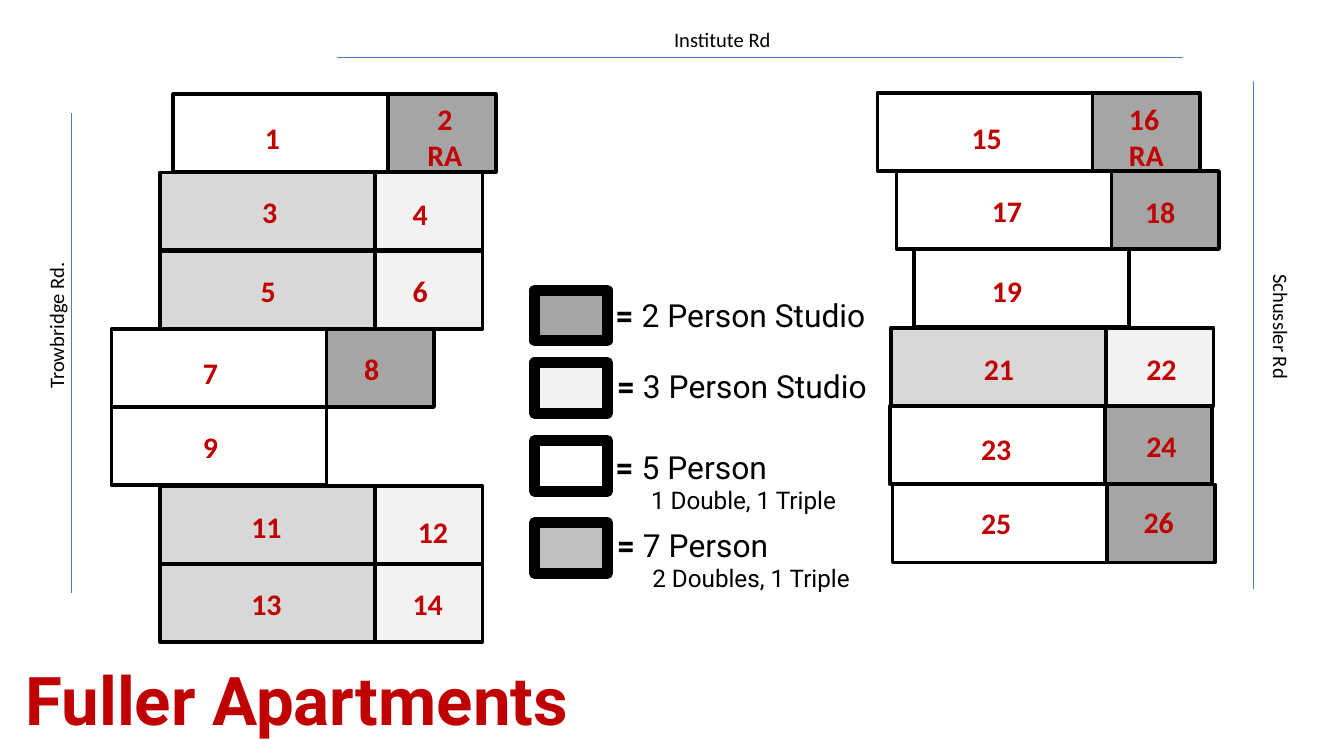
from dataclasses import dataclass
from typing import Optional

from lxml.etree import SubElement
from pptx import Presentation
from pptx.dml.color import RGBColor
from pptx.enum.shapes import MSO_CONNECTOR as Connector, MSO_SHAPE as Shape
from pptx.enum.text import MSO_ANCHOR as Anchor, MSO_AUTO_SIZE as AutoSize, PP_ALIGN as Align
from pptx.oxml.ns import qn
from pptx.util import Inches, Pt

COLORS = {
    "white": "FFFFFF",
    "black": "000000",
    "red": "C00000",
    "road": "4A7DBA",
    "two": "A5A5A5",
    "three": "F2F2F2",
    "five": "FFFFFF",
    "seven": "D8D8D8",
    "seven_key": "BFBFBF",
}

CELLS_PER_INCH = 10
SLIDE_COLUMNS = 100
SLIDE_ROWS = SLIDE_COLUMNS * 9 / 16
STOREY = 5.83
FLAT_WIDTH = 16
STUDIO_WIDTH = 8
UNIT_HEIGHT = 5.8


@dataclass(frozen=True)
class Unit:
    label: str
    kind: str
    label_column: float
    label_row: float
    label_width: float = 3
    align: Align = Align.LEFT


@dataclass(frozen=True)
class Floor:
    left: float
    flat: Unit
    studio: Optional[Unit] = None


@dataclass(frozen=True)
class Building:
    top: float
    floors: tuple[Floor, ...]


@dataclass(frozen=True)
class Road:
    name: str
    start: tuple[float, float]
    end: tuple[float, float]
    label_box: tuple[float, float, float, float]
    rotation: int = 0


@dataclass(frozen=True)
class LegendEntry:
    kind: str
    top: float
    text_left: float
    text_top: float
    name: str
    detail: str = ""


BUILDINGS = (
    Building(7, (
        Floor(12.9, Unit("1", "five", 6.5, 1.8, 1.8),
              Unit("2\nRA", "two", 2.5, 0.4, 3.4, Align.CENTER)),
        Floor(11.9, Unit("3", "seven", 7.3, 1.5, 1.8), Unit("4", "three", 2.5, 1.6, 1.8)),
        Floor(11.9, Unit("5", "seven", 7.2, 1.5, 1.8), Unit("6", "three", 2.5, 1.5, 1.8)),
        Floor(8.3, Unit("7", "five", 6.5, 1.8, 1.8), Unit("8", "two", 2.5, 1.5, 1.8)),
        Floor(8.3, Unit("9", "five", 6.5, 1.5, 1.8)),
        Floor(11.9, Unit("11", "seven", 6.5, 1.6), Unit("12", "three", 2.9, 2)),
        Floor(11.9, Unit("13", "seven", 6.5, 1.5), Unit("14", "three", 2.5, 1.5)),
    )),
    Building(6.9, (
        Floor(65.3, Unit("15", "five", 6.7, 1.9), Unit("16\nRA", "two", 2.4, 0.5, 4.2)),
        Floor(66.7, Unit("17", "five", 6.8, 1.5), Unit("18", "two", 2.2, 1.6)),
        Floor(68, Unit("19", "five", 5.5, 1.6)),
        Floor(66.3, Unit("21", "seven", 6.6, 1.6), Unit("22", "three", 2.7, 1.6)),
        Floor(66.2, Unit("23", "five", 6.5, 1.7), Unit("24", "two", 2.8, 1.5)),
        Floor(66.4, Unit("25", "five", 6.3, 1.4), Unit("26", "two", 2.4, 1.3)),
    )),
)

ROADS = (
    Road("Institute Rd", (25.1, 4.3), (88, 4.3), (43.3, 1.9, 20.9, 1.8)),
    Road("Schussler Rd", (93.25, 6), (93.25, 43.8), (86.4, 23.2, 17.7, 2.2), 90),
    Road("Trowbridge Rd.", (5.3, 44.1), (5.3, 8.4), (-4.6, 23.1, 17.7, 2.2), 270),
)

LEGEND = (
    LegendEntry("two", 21.6, 45.5, 21.9, "2 Person Studio"),
    LegendEntry("three", 27, 45.6, 27.2, "3 Person Studio"),
    LegendEntry("five", 32.8, 45.5, 33.2, "5 Person", "1 Double, 1 Triple"),
    LegendEntry("seven_key", 38.9, 45.6, 39, "7 Person", "2 Doubles, 1 Triple"),
)


def cells(count: float) -> int:
    return Inches(count / CELLS_PER_INCH)


def color(name: str) -> RGBColor:
    return RGBColor.from_string(COLORS[name])


def add_text(paragraph, text: str, *, size: float, font: str, fill: str = "black",
             bold: bool = False, align: Align = Align.LEFT) -> None:
    paragraph.alignment = align
    run = paragraph.add_run()
    run.text = text
    run.font.size = Pt(size)
    run.font.name = font
    run.font.bold = bold
    run.font.color.rgb = color(fill)


def prepare_frame(shape):
    frame = shape.text_frame
    frame.word_wrap = True
    frame.auto_size = AutoSize.NONE
    frame.vertical_anchor = Anchor.TOP
    frame.margin_left = frame.margin_right = Inches(0.03)
    frame.margin_top = frame.margin_bottom = Inches(0.01)
    return frame


def add_label(slide, box: tuple[float, ...], text: str, rotation: int = 0, **text_format) -> None:
    shape = slide.shapes.add_textbox(*map(cells, box))
    shape.rotation = rotation
    frame = prepare_frame(shape)
    for index, line in enumerate(text.split("\n")):
        paragraph = frame.add_paragraph() if index else frame.paragraphs[0]
        add_text(paragraph, line, **text_format)


def add_block(slide, box: tuple[float, ...], fill: str, line_width: float) -> None:
    shape = slide.shapes.add_shape(Shape.RECTANGLE, *map(cells, box))
    shape.shadow.inherit = False
    shape.fill.solid()
    shape.fill.fore_color.rgb = color(fill)
    shape.line.color.rgb = color("black")
    shape.line.width = Pt(line_width)


def add_unit(slide, unit: Unit, left: float, top: float, width: float) -> None:
    add_block(slide, (left, top, width, UNIT_HEIGHT), unit.kind, 2)
    height = 2.7 * len(unit.label.split("\n"))
    box = (left + unit.label_column, top + unit.label_row, unit.label_width, height)
    add_label(slide, box, unit.label, size=16, font="Calibri", fill="red", bold=True,
              align=unit.align)


def add_building(slide, building: Building) -> None:
    for index, floor in enumerate(building.floors):
        top = building.top + index * STOREY
        if floor.studio:
            add_unit(slide, floor.studio, floor.left + FLAT_WIDTH, top, STUDIO_WIDTH)
        add_unit(slide, floor.flat, floor.left, top, FLAT_WIDTH)


def add_road(slide, road: Road) -> None:
    line = slide.shapes.add_connector(Connector.STRAIGHT, *map(cells, road.start + road.end))
    line.line.color.rgb = color("road")
    line.line.width = Pt(0.75)
    SubElement(line._element.spPr, qn("a:effectLst"))
    add_label(slide, road.label_box, road.name, road.rotation, size=11, font="Calibri",
              align=Align.CENTER)


def add_legend_entry(slide, entry: LegendEntry) -> None:
    add_block(slide, (39.8, entry.top, 5.4, 3.75), entry.kind, 6)
    box = (entry.text_left, entry.text_top, 19.7, 4.7 if entry.detail else 2.8)
    frame = prepare_frame(slide.shapes.add_textbox(*map(cells, box)))
    add_text(frame.paragraphs[0], "= ", size=17, font="Roboto", bold=True)
    add_text(frame.paragraphs[0], entry.name, size=17, font="Roboto")
    if entry.detail:
        paragraph = frame.add_paragraph()
        paragraph._p.get_or_add_pPr().set("marL", str(cells(2.65)))
        add_text(paragraph, entry.detail, size=13, font="Roboto")


def set_title(slide, text: str) -> None:
    title = slide.shapes.title
    title.left, title.top, title.width, title.height = map(cells, (1.6, 48.9, 57.4, 5.7))
    title.fill.solid()
    title.fill.fore_color.rgb = color("white")
    frame = prepare_frame(title)
    add_text(frame.paragraphs[0], text, size=36, font="Roboto", fill="red", bold=True)


def main() -> None:
    presentation = Presentation()
    presentation.slide_width = cells(SLIDE_COLUMNS)
    presentation.slide_height = cells(SLIDE_ROWS)
    slide = presentation.slides.add_slide(presentation.slide_layouts[5])
    set_title(slide, "Fuller Apartments")
    for road in ROADS:
        add_road(slide, road)
    for building in BUILDINGS:
        add_building(slide, building)
    for entry in LEGEND:
        add_legend_entry(slide, entry)
    presentation.save("out.pptx")


if __name__ == "__main__":
    main()
